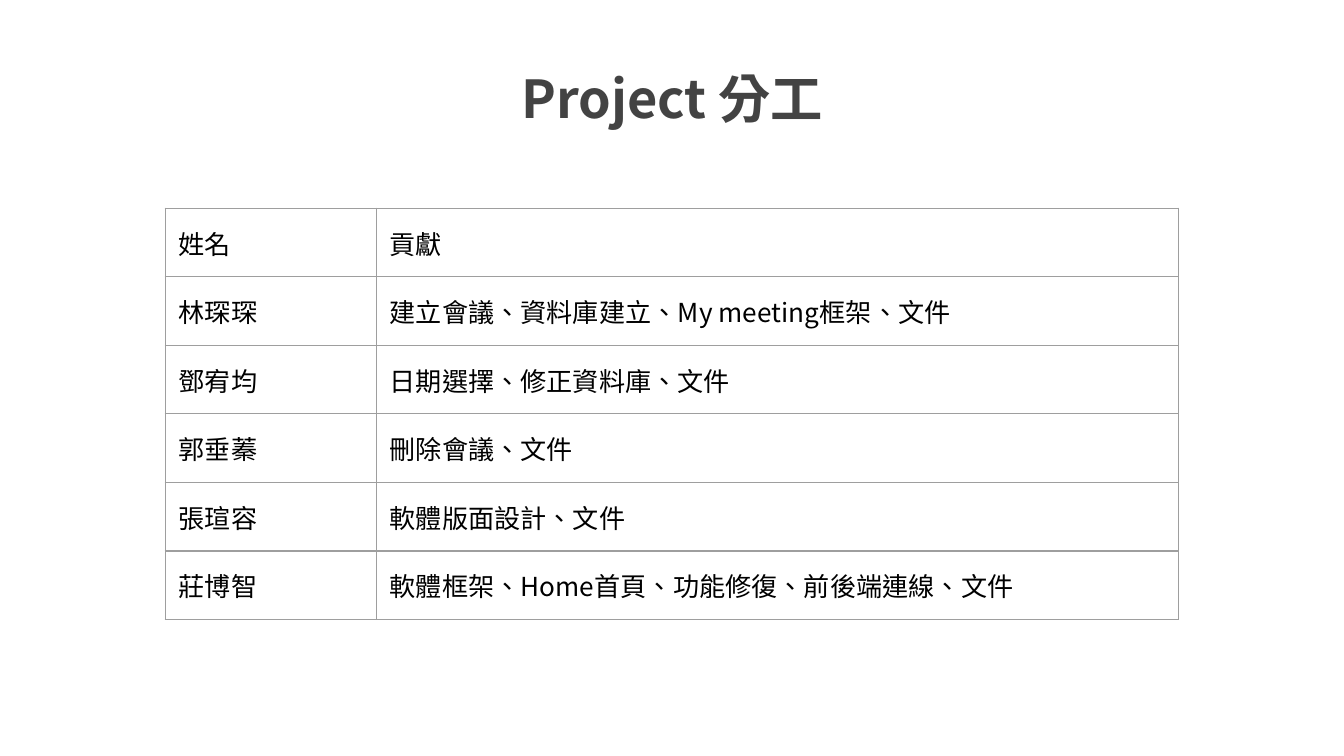
import pptx
import pptx.dml.color
import pptx.enum.text
import pptx.oxml
import pptx.oxml.ns
import pptx.util
from pptx.util import Inches

TITLE_GRAY = pptx.dml.color.RGBColor(0x43, 0x43, 0x43)
TEXT_BLACK = pptx.dml.color.RGBColor(0, 0, 0)
BORDER_GRAY = pptx.dml.color.RGBColor(0x9E, 0x9E, 0x9E)

ASSIGNMENTS = [
    ("姓名", "貢獻"),
    ("林琛琛", "建立會議、資料庫建立、My meeting框架、文件"),
    ("鄧宥均", "日期選擇、修正資料庫、文件"),
    ("郭垂蓁", "刪除會議、文件"),
    ("張瑄容", "軟體版面設計、文件"),
    ("莊博智", "軟體框架、Home首頁、功能修復、前後端連線、文件"),
]


class SlideBuilder:
    font_name = "Noto Sans CJK SC"
    language = "zh-TW"
    border_width = pptx.util.Pt(0.75)

    def __init__(self, slide):
        self.slide = slide

    def format_paragraph(self, paragraph, size, color, bold=False):
        font = paragraph.font
        font.size = pptx.util.Pt(size)
        font.bold = bold
        font.color.rgb = color
        font.name = self.font_name
        properties = paragraph._p.pPr.find(pptx.oxml.ns.qn("a:defRPr"))
        properties.set("lang", self.language)
        properties.append(pptx.oxml.parse_xml(
            f'<a:ea {pptx.oxml.ns.nsdecls("a")} typeface="{self.font_name}"/>'))

    def add_title(self, text, left, top, width, height):
        title = self.slide.shapes.title
        title.left, title.top = Inches(left), Inches(top)
        title.width, title.height = Inches(width), Inches(height)
        frame = title.text_frame
        frame.text = text
        frame.word_wrap = True
        frame.auto_size = pptx.enum.text.MSO_AUTO_SIZE.NONE
        frame.vertical_anchor = pptx.enum.text.MSO_ANCHOR.TOP
        frame.margin_left = frame.margin_right = Inches(0.1)
        frame.margin_top = frame.margin_bottom = Inches(0.1)
        paragraph = frame.paragraphs[0]
        paragraph.alignment = pptx.enum.text.PP_ALIGN.CENTER
        paragraph.line_spacing = 1.0
        self.format_paragraph(paragraph, 28, TITLE_GRAY, bold=True)

    def set_borders(self, cell):
        properties = cell._tc.get_or_add_tcPr()
        for index, side in enumerate(("lnL", "lnR", "lnT", "lnB")):
            properties.insert(index, pptx.oxml.parse_xml(
                f'<a:{side} {pptx.oxml.ns.nsdecls("a")} w="{self.border_width}">'
                f'<a:solidFill><a:srgbClr val="{BORDER_GRAY}"/></a:solidFill>'
                f'</a:{side}>'))

    def add_table(self, rows, left, top, column_widths, row_height):
        table = self.slide.shapes.add_table(
            len(rows), len(column_widths), Inches(left), Inches(top),
            Inches(sum(column_widths)), Inches(row_height * len(rows))).table
        table.first_row = False
        table.horz_banding = False
        for column, width in zip(table.columns, column_widths):
            column.width = Inches(width)
        for row, texts in zip(table.rows, rows):
            row.height = Inches(row_height)
            for cell, text in zip(row.cells, texts):
                cell.text = text
                cell.vertical_anchor = pptx.enum.text.MSO_ANCHOR.MIDDLE
                cell.fill.background()
                self.set_borders(cell)
                self.format_paragraph(
                    cell.text_frame.paragraphs[0], 14, TEXT_BLACK)


def main():
    presentation = pptx.Presentation()
    presentation.slide_width = Inches(10)
    presentation.slide_height = Inches(10 * 9 / 16)
    slide = presentation.slides.add_slide(presentation.slide_layouts[5])
    builder = SlideBuilder(slide)
    builder.add_title("Project 分工", 2.15, 0.39, 5.7, 1.03)
    builder.add_table(ASSIGNMENTS, 1.23, 1.55, (1.57, 5.97), 0.51)
    presentation.save("out.pptx")


if __name__ == "__main__":
    main()
